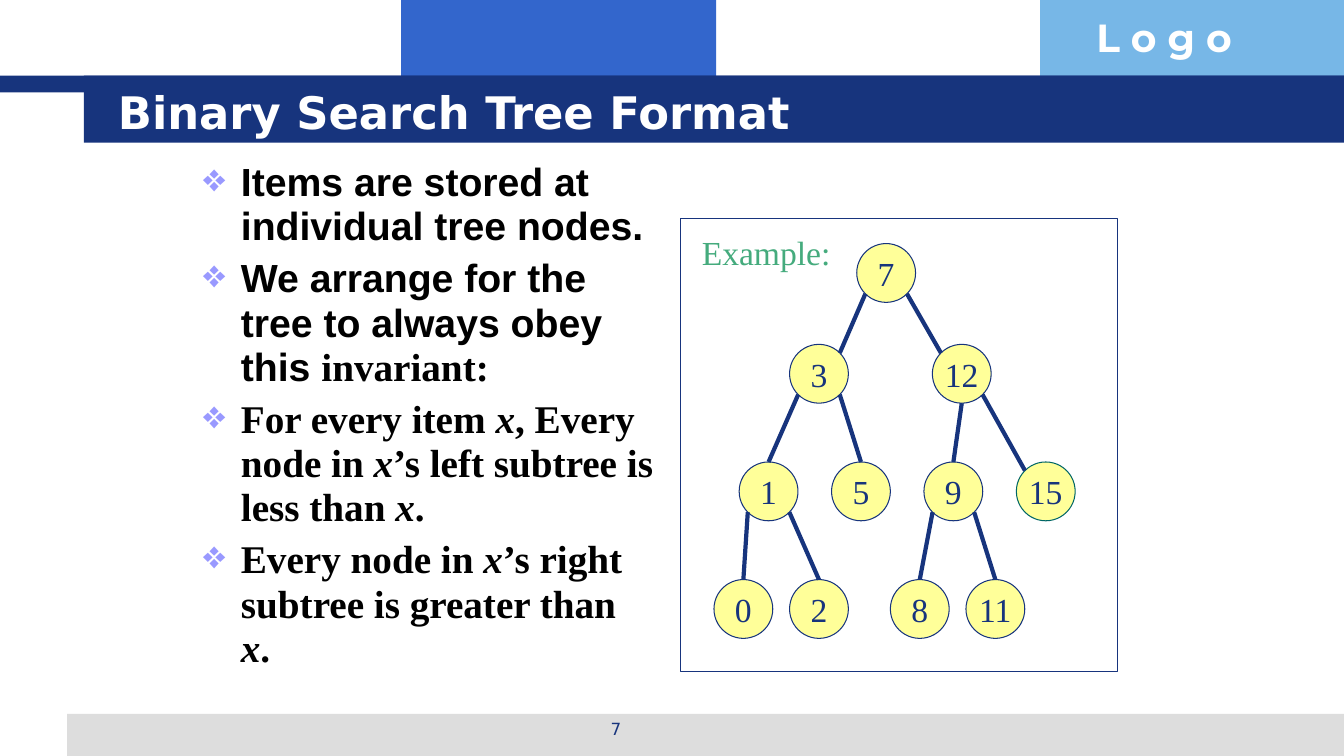
from pptx import Presentation
from pptx.dml.color import RGBColor
from pptx.enum.shapes import MSO_CONNECTOR as Link, MSO_SHAPE as Shape
from pptx.enum.text import MSO_ANCHOR as Anchor, MSO_AUTO_SIZE as Fit, PP_ALIGN as Align
from pptx.oxml.ns import qn
from pptx.util import Pt
from lxml.etree import SubElement

NAVY, WHITE, YELLOW = "17347D", "FFFFFF", "FFFF99"
SERIF = "Times New Roman"


def paint(color_format, value):
    color_format.rgb = RGBColor.from_string(value)


def write(para, text, color, **formats):
    span = para.add_run()
    span.text = text
    paint(span.font.fill.fore_color if span.font.fill.solid() else span.font.color, color)
    for name, value in formats.items():
        setattr(span.font, name, value)


deck = Presentation()
deck.slide_width, deck.slide_height = Pt(960), Pt(540)
page = deck.slides.add_slide(deck.slide_layouts[5])
shapes = page.shapes

panels = [
    (286.5, 0, 225, 66, "3366CC", None),
    (743, 0, 217, 66, "77B7E7", None),
    (48, 510, 912, 30, "DDDDDD", None),
    (0, 54, 960, 12, NAVY, None),
    (60, 54, 900, 48, NAVY, None),
    (486, 156, 312, 324, WHITE, NAVY),
]
nodes = [
    ("7", 612, 174, NAVY), ("3", 564, 246, NAVY), ("12", 666, 246, NAVY),
    ("1", 528, 330, NAVY), ("5", 594, 330, NAVY), ("9", 660, 330, NAVY),
    ("15", 726, 330, "006666"), ("0", 510, 414, NAVY), ("2", 564, 414, NAVY),
    ("8", 636, 414, NAVY), ("11", 690, 414, NAVY),
]
DIAMETER = 42
outlines = [(Shape.RECTANGLE, "", *panel) for panel in panels]
outlines += [(Shape.OVAL, key, x, y, DIAMETER, DIAMETER, YELLOW, edge) for key, x, y, edge in nodes]

for kind, key, x, y, width, height, fill, edge in outlines:
    box = shapes.add_shape(kind, Pt(x), Pt(y), Pt(width), Pt(height))
    box.shadow.inherit = False
    box.fill.solid()
    paint(box.fill.fore_color, fill)
    if edge:
        paint(box.line.color, edge)
        box.line.width = Pt(0.75)
    else:
        box.line.fill.background()
    if key:
        frame = box.text_frame
        frame.word_wrap = False
        frame.vertical_anchor = Anchor.MIDDLE
        frame.paragraphs[0].alignment = Align.CENTER
        write(frame.paragraphs[0], key, NAVY, size=Pt(24), name=SERIF)

NEAR, FAR = 6.15, 35.85
sites = {
    "N": (21, 0), "S": (21, DIAMETER), "NW": (NEAR, NEAR),
    "NE": (FAR, NEAR), "SW": (NEAR, FAR), "SE": (FAR, FAR),
}
corners = {key: (x, y) for key, x, y, edge in nodes}
branches = [
    ("7", "SW", "3", "NE"), ("7", "SE", "12", "NW"), ("12", "S", "9", "N"),
    ("12", "SE", "15", "NW"), ("9", "SE", "11", "N"), ("9", "SW", "8", "N"),
    ("3", "SE", "5", "N"), ("3", "SW", "1", "N"), ("1", "SW", "0", "N"),
    ("1", "SE", "2", "N"),
]
for parent, leaving, child, entering in branches:
    ends = [
        Pt(corner + offset)
        for key, site in ((parent, leaving), (child, entering))
        for corner, offset in zip(corners[key], sites[site])
    ]
    branch = shapes.add_connector(Link.STRAIGHT, *ends)
    paint(branch.line.color, NAVY)
    branch.line.width = Pt(3)
    SubElement(branch._element.spPr, qn("a:effectLst"))

title = shapes.title
shapes._spTree.append(title._element)
title.left, title.top, title.width, title.height = Pt(77), Pt(57.5), Pt(819), Pt(45)
title.text_frame.auto_size = Fit.NONE
title.text_frame.vertical_anchor = Anchor.MIDDLE
heading = title.text_frame.paragraphs[0]
heading.alignment = Align.LEFT
write(heading, "Binary Search Tree Format", WHITE, size=Pt(32), name="DejaVu Sans", bold=True)

labels = [
    ("L o g o", 776, 6, 184, 41, Align.LEFT, WHITE, dict(size=Pt(28), name="Montserrat", bold=True)),
    ("7", 328, 510, 224, 25, Align.CENTER, NAVY, dict(size=Pt(12), name="DejaVu Sans")),
    ("Example:", 494, 162, 106.5, 36, Align.CENTER, "45AB7D", dict(size=Pt(24), name=SERIF)),
]
for text, x, y, width, height, alignment, color, formats in labels:
    frame = shapes.add_textbox(Pt(x), Pt(y), Pt(width), Pt(height)).text_frame
    frame.word_wrap = True
    frame.paragraphs[0].alignment = alignment
    write(frame.paragraphs[0], text, color, **formats)

PLAIN, TIMES, ITALIC = dict(name="Arial"), dict(name=SERIF), dict(name=SERIF, italic=True)
points = [
    [("Items are stored at individual tree nodes.", PLAIN)],
    [("We arrange for the tree to always obey this ", PLAIN), ("invariant:", TIMES)],
    [("For every item ", TIMES), ("x", ITALIC), (", Every node in ", TIMES), ("x", ITALIC),
     ("’s left subtree is less than ", TIMES), ("x", ITALIC), (".", TIMES)],
    [("Every node in ", TIMES), ("x", ITALIC), ("’s right subtree is greater than ", TIMES),
     ("x", ITALIC), (".", TIMES)],
]
body = shapes.add_textbox(Pt(138), Pt(111.5), Pt(336), Pt(384.5)).text_frame
body.word_wrap = True
for index, spans in enumerate(points):
    para = body.add_paragraph() if index else body.paragraphs[0]
    para.line_spacing = 0.94
    if index:
        para.space_before = Pt(5.6)
    layout = para._p.get_or_add_pPr()
    layout.set("marL", str(Pt(27)))
    layout.set("indent", str(-Pt(27)))
    SubElement(SubElement(layout, qn("a:buClr")), qn("a:srgbClr"), val="9999FF")
    SubElement(layout, qn("a:buChar"), char="❖")
    for text, formats in spans:
        write(para, text, "000000", size=Pt(28), bold=True, **formats)

deck.save("out.pptx")
